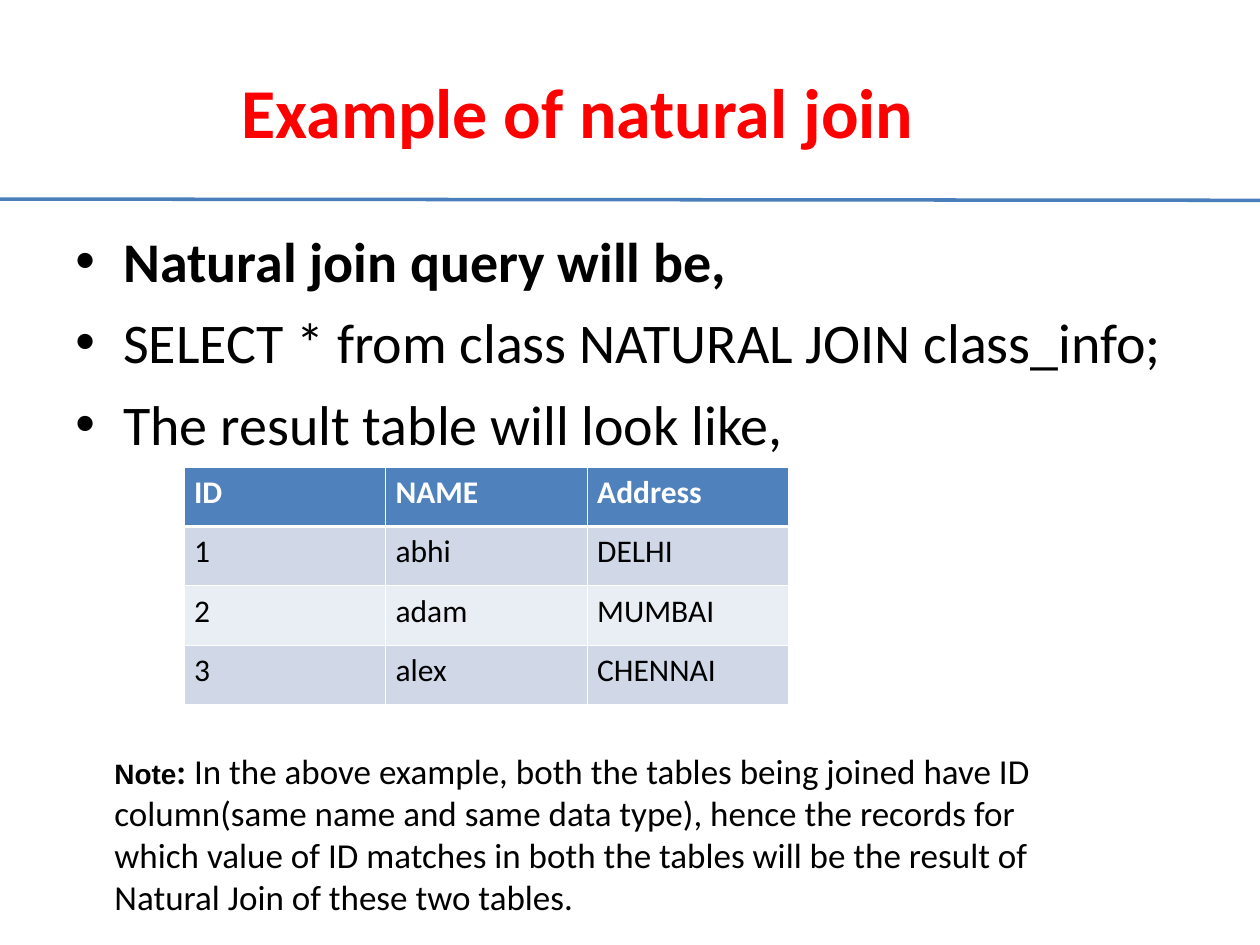
from lxml import etree
from pptx import Presentation, util as u
from pptx.dml.color import RGBColor
from pptx.enum import shapes, text
from pptx.oxml.ns import qn

HEADING = "Example of natural join"
POINTS = [
    ("Natural join query will be,", True),
    ("SELECT * from class NATURAL JOIN class_info;", False),
    ("The result table will look like,", False),
]
RECORDS = [
    ("ID", "NAME", "Address"),
    ("1", "abhi", "DELHI"),
    ("2", "adam", "MUMBAI"),
    ("3", "alex", "CHENNAI"),
]
NOTE = [
    ("Note", dict(size=16, font="Arial", bold=True)),
    (":", dict(size=20, bold=True)),
    (" In the above example, both the tables being joined have ID "
     "column(same name and same data type), hence the records for which "
     "value of ID matches in both the tables will be the result of "
     "Natural Join of these two tables.", dict(size=20)),
]
WIDTH, HEIGHT = 10, 7.5
COLUMN, ROW = 1.6, 0.47
HEADER_FILL, BANDS = "4F81BD", ("E9EDF4", "D0D8E8")
THIN, THICK = 0.45, 1.47


def color(value):
    return RGBColor.from_string(value)


def box(*lengths):
    return [u.Inches(length) for length in lengths]


def write(paragraph, words, size=18, font="Calibri", fill="000000", bold=False):
    run = paragraph.add_run()
    run.text = words
    run.font.size, run.font.name, run.font.bold = u.Pt(size), font, bold
    run.font.color.rgb = color(fill)


def add_bullet(paragraph):
    props = paragraph._p.get_or_add_pPr()
    props.set("marL", str(u.Inches(0.38)))
    props.set("indent", str(-u.Inches(0.38)))
    tint = etree.SubElement(props, qn("a:buClr"))
    etree.SubElement(tint, qn("a:srgbClr"), val="000000")
    etree.SubElement(props, qn("a:buFont"), typeface="Arial")
    etree.SubElement(props, qn("a:buChar"), char="•")


def set_borders(cell, **widths):
    props = cell._tc.get_or_add_tcPr()
    for position, (side, width) in enumerate(widths.items()):
        border = etree.Element(qn(f"a:ln{side}"), w=str(u.Pt(width)))
        paint = etree.SubElement(border, qn("a:solidFill"))
        etree.SubElement(paint, qn("a:srgbClr"), val="FFFFFF")
        props.insert(position, border)


def add_rule(slide):
    rule = slide.shapes.add_connector(
        shapes.MSO_CONNECTOR.STRAIGHT, *box(0, 1.58, WIDTH, 1.59))
    rule.line.color.rgb = color("4A7EBB")
    rule.line.width = u.Pt(2)
    etree.SubElement(rule._element.spPr, qn("a:effectLst"))


def add_heading(slide):
    heading = slide.shapes.title
    heading.left, heading.top, heading.width, heading.height = box(0.5, 0.3, 8.17, 1.16)
    heading.text_frame.vertical_anchor = text.MSO_ANCHOR.MIDDLE
    paragraph = heading.text_frame.paragraphs[0]
    paragraph.alignment = text.PP_ALIGN.CENTER
    write(paragraph, HEADING, size=40, fill="FF0000", bold=True)


def add_frame(slide, *lengths):
    frame = slide.shapes.add_textbox(*box(*lengths)).text_frame
    frame.word_wrap = True
    return frame


def add_points(slide):
    frame = add_frame(slide, 0.5, 1.75, 9, 4.95)
    for index, (words, bold) in enumerate(POINTS):
        paragraph = frame.add_paragraph() if index else frame.paragraphs[0]
        add_bullet(paragraph)
        paragraph.space_before = u.Pt(8 if index else 0)
        write(paragraph, words, size=32, bold=bold)


def add_records(slide):
    rows, columns = len(RECORDS), len(RECORDS[0])
    records = slide.shapes.add_table(
        rows, columns, *box(1.46, 3.71, columns * COLUMN, rows * ROW)).table
    for column in records.columns:
        column.width = u.Inches(COLUMN)
    for r, record in enumerate(RECORDS):
        records.rows[r].height = u.Inches(ROW)
        header = r == 0
        for c, words in enumerate(record):
            cell = records.cell(r, c)
            cell.margin_left = cell.margin_right = u.Inches(0.08)
            cell.margin_top = cell.margin_bottom = u.Inches(0.05)
            cell.fill.solid()
            cell.fill.fore_color.rgb = color(HEADER_FILL if header else BANDS[r % 2])
            set_borders(cell, L=THIN, R=THIN, T=THICK if r == 1 else THIN,
                        B=THICK if header else THIN)
            write(cell.text_frame.paragraphs[0], words,
                  fill="FFFFFF" if header else "000000", bold=header)


def add_note(slide):
    frame = add_frame(slide, 0.81, 5.9, 7.81, 1.44)
    frame.auto_size = text.MSO_AUTO_SIZE.SHAPE_TO_FIT_TEXT
    for words, style in NOTE:
        write(frame.paragraphs[0], words, **style)


def main():
    deck = Presentation()
    deck.slide_width, deck.slide_height = box(WIDTH, HEIGHT)
    slide = deck.slides.add_slide(deck.slide_layouts[5])
    for add_part in (add_rule, add_heading, add_points, add_records, add_note):
        add_part(slide)
    deck.save("out.pptx")


if __name__ == "__main__":
    main()
